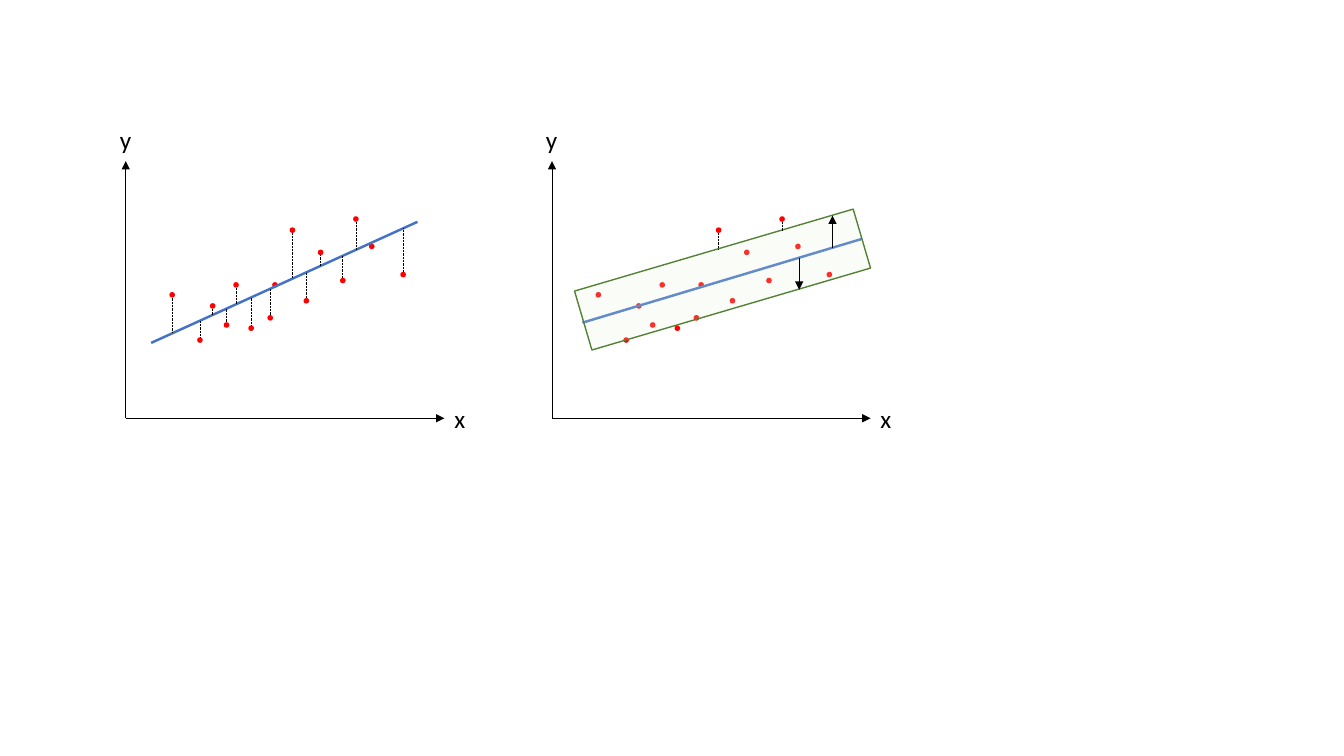
from lxml import etree
from pptx import Presentation
from pptx.dml.color import RGBColor
from pptx.enum.dml import MSO_LINE
from pptx.enum.shapes import MSO_CONNECTOR, MSO_SHAPE
from pptx.enum.text import MSO_AUTO_SIZE
from pptx.oxml.ns import qn
from pptx.util import Cm, Pt

STRAIGHT = MSO_CONNECTOR.STRAIGHT
ELLIPSE, RECTANGLE = MSO_SHAPE.OVAL, MSO_SHAPE.RECTANGLE
DOTTED = MSO_LINE.ROUND_DOT
FIT_TO_TEXT = MSO_AUTO_SIZE.SHAPE_TO_FIT_TEXT

BLACK, RED, BLUE = "000000", "FF0000", "4472C4"
PALE_GREEN, GREEN = "E2F0D9", "548235"
LABEL_FORMAT = {"size": Pt(18), "name": "Calibri"}

# All positions are in centimetres
PANEL_SHIFT = 10.74
ORIGIN = (3.17, 10.54)
AXIS_TOP, AXIS_RIGHT = 4.06, 11.2
DOT_SIZE = 0.14
SHORTEST_GAP = 0.15
BAND_REACH = 0.81
DOTS = [
    (4.34, 7.43), (5.04, 8.57), (5.36, 7.71), (5.71, 8.19), (6.33, 8.27),
    (5.95, 7.18), (8.08, 6.36), (6.81, 8.01), (6.93, 7.18), (7.37, 5.8),
    (7.72, 7.58), (8.97, 5.52), (9.37, 6.21), (8.64, 7.07), (10.16, 6.92),
]
LEFT_BLUE_LINE = ((3.81, 8.64), (10.52, 5.59))
RIGHT_BLUE_LINE = ((14.68, 8.13), (21.72, 6.02))
BAND_ARROWS = [(20.98, -BAND_REACH), (20.14, BAND_REACH)]


def colour(hex_value):
    return RGBColor.from_string(hex_value)


def height_on(blue_line, x):
    (x1, y1), (x2, y2) = blue_line
    return y1 + (x - x1) * (y2 - y1) / (x2 - x1)


def add_line(slide, start, end, line_colour=BLACK, width=0.5, dotted=False, arrow=False):
    line = slide.shapes.add_connector(STRAIGHT, *map(Cm, (*start, *end)))
    line.line.color.rgb = colour(line_colour)
    line.line.width = Pt(width)
    if dotted:
        line.line.dash_style = DOTTED
    properties = line._element.spPr
    if arrow:
        etree.SubElement(properties.find(qn("a:ln")), qn("a:tailEnd"), type="triangle")
    etree.SubElement(properties, qn("a:effectLst"))


def add_axis_label(slide, text, left, top):
    label = slide.shapes.add_textbox(Cm(left), Cm(top), Cm(0.8), Cm(1.03))
    frame = label.text_frame
    frame.word_wrap = False
    frame.auto_size = FIT_TO_TEXT
    run = frame.paragraphs[0].add_run()
    run.text = text
    for attribute, value in LABEL_FORMAT.items():
        setattr(run.font, attribute, value)
    run.font.color.rgb = colour(BLACK)


def add_axes(slide, shift):
    origin = (ORIGIN[0] + shift, ORIGIN[1])
    add_line(slide, origin, (origin[0], AXIS_TOP), arrow=True)
    add_line(slide, origin, (AXIS_RIGHT + shift, origin[1]), arrow=True)
    add_axis_label(slide, "x", AXIS_RIGHT + shift, 10.03)
    add_axis_label(slide, "y", 2.77 + shift, 3.02)


def add_dots(slide, dots):
    for x, y in dots:
        dot = slide.shapes.add_shape(
            ELLIPSE, Cm(x - DOT_SIZE / 2), Cm(y - DOT_SIZE / 2), Cm(DOT_SIZE), Cm(DOT_SIZE))
        dot.shadow.inherit = False
        dot.fill.solid()
        dot.fill.fore_color.rgb = colour(RED)
        dot.line.fill.background()


def add_dotted_gaps(slide, dots, blue_line, reach=0):
    """Join each dot farther from the blue line than the reach to that edge."""
    for x, y in dots:
        line_y = height_on(blue_line, x)
        side = 1 if y > line_y else -1
        edge = line_y + side * reach
        if side * (y - edge) > SHORTEST_GAP:
            add_line(slide, (x, y - side * DOT_SIZE / 2), (x, edge), dotted=True)


def add_band(slide):
    band = slide.shapes.add_shape(RECTANGLE, Cm(14.55), Cm(6.27), Cm(7.32), Cm(1.55))
    band.rotation = -16.4
    band.shadow.inherit = False
    band.fill.solid()
    band.fill.fore_color.rgb = colour(PALE_GREEN)
    fill_colour = band._element.spPr.find(qn("a:solidFill"))[0]
    etree.SubElement(fill_colour, qn("a:alpha"), val="20000")
    band.line.color.rgb = colour(GREEN)
    band.line.width = Pt(1)


def main():
    presentation = Presentation()
    presentation.slide_width, presentation.slide_height = Cm(33.87), Cm(19.05)
    slide = presentation.slides.add_slide(presentation.slide_layouts[6])

    # Left panel: dotted gaps reach the blue line
    add_axes(slide, 0)
    add_dots(slide, DOTS)
    add_line(slide, *LEFT_BLUE_LINE, BLUE, 1.75)
    add_dotted_gaps(slide, DOTS, LEFT_BLUE_LINE)

    # Right panel: dotted gaps reach the edge of the green band
    shifted_dots = [(x + PANEL_SHIFT, y) for x, y in DOTS]
    add_axes(slide, PANEL_SHIFT)
    add_dots(slide, shifted_dots)
    add_line(slide, *RIGHT_BLUE_LINE, BLUE, 1.75)
    add_band(slide)
    for x, reach in BAND_ARROWS:
        line_y = height_on(RIGHT_BLUE_LINE, x)
        add_line(slide, (x, line_y), (x, line_y + reach), arrow=True)
    add_dotted_gaps(slide, shifted_dots, RIGHT_BLUE_LINE, BAND_REACH)

    presentation.save("out.pptx")


if __name__ == "__main__":
    main()
